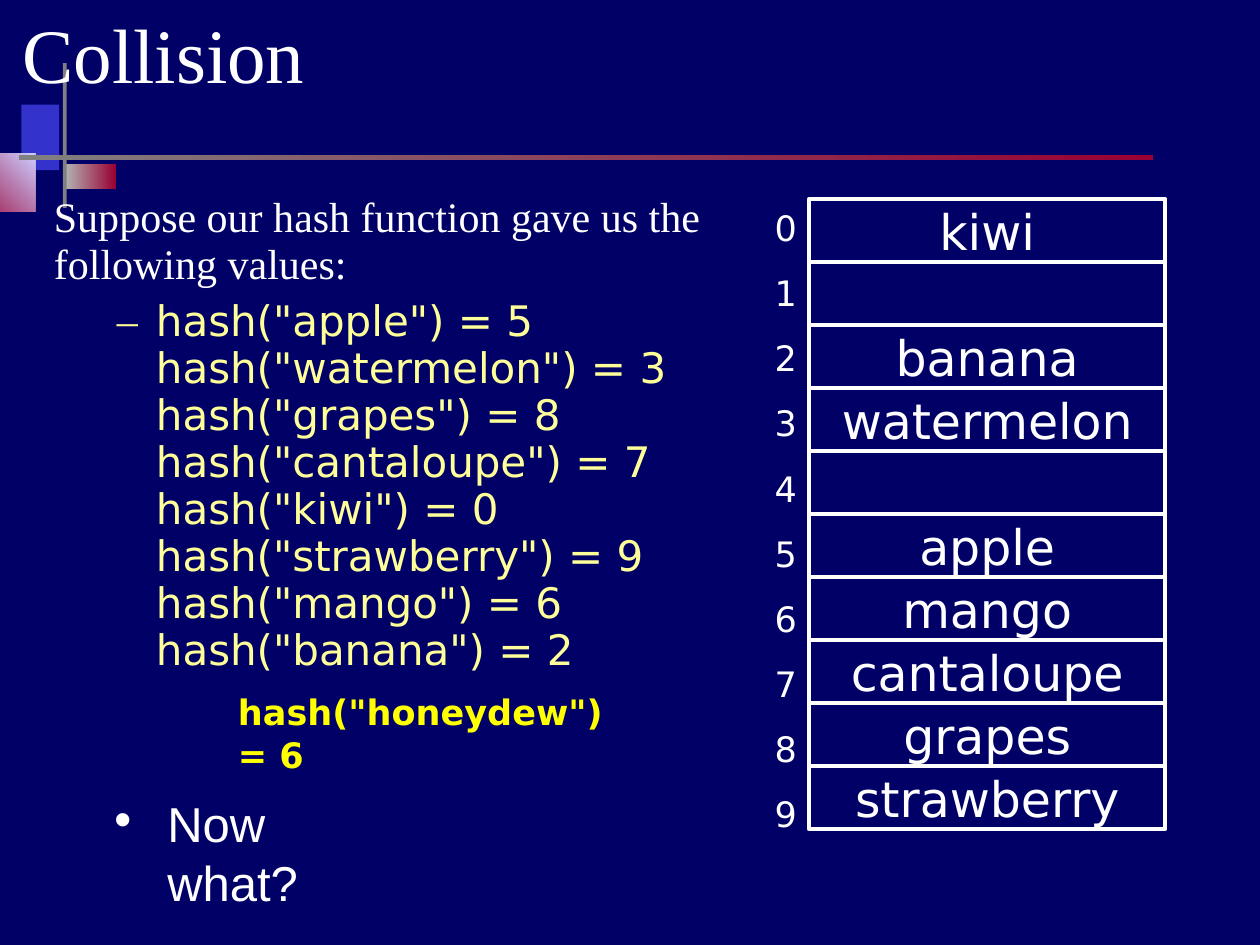
from dataclasses import dataclass

from lxml.etree import SubElement
from pptx import Presentation
from pptx.dml.color import RGBColor
from pptx.enum.shapes import MSO_SHAPE
from pptx.enum.text import MSO_ANCHOR, PP_ALIGN
from pptx.oxml.ns import qn
from pptx.util import Inches, Pt

SERIF = "Times New Roman"
SANS = "DejaVu Sans"
WHITE = "FFFFFF"
PALE_YELLOW = "FFFF99"
GRAY = "808080"
CRIMSON = "990033"


@dataclass(frozen=True)
class Box:
    left: float
    top: float
    width: float
    height: float

    def lengths(self) -> tuple:
        return tuple(Inches(side) for side in (self.left, self.top, self.width, self.height))


@dataclass(frozen=True)
class Style:
    font: str
    size: float
    color: str = WHITE
    bold: bool = False


@dataclass(frozen=True)
class Decoration:
    box: Box
    colors: tuple[str, ...]
    angle: int = 0


DECORATIONS = [
    Decoration(Box(0.17, 0.83, 0.3, 0.52), ("3333CC",)),
    Decoration(Box(0.52, 1.3, 0.4, 0.2), ("B2B2B2", CRIMSON)),
    Decoration(Box(-0.33, 1.22, 0.61, 0.46), (CRIMSON, "CCCCFF"), 45),
    Decoration(Box(0.5, 0.5, 0.03, 1.15), (GRAY,)),
    Decoration(Box(0.15, 1.23, 9, 0.04), (GRAY, CRIMSON)),
]
HASHES = {
    "apple": 5,
    "watermelon": 3,
    "grapes": 8,
    "cantaloupe": 7,
    "kiwi": 0,
    "strawberry": 9,
    "mango": 6,
    "banana": 2,
}
SLOT_COUNT = 10
TABLE = Box(6.42, 1.58, 2.83, 5)
CELL_STYLE = Style(SANS, 28)
INDEX_STYLE = Style(SANS, 20)
HASH_STYLE = Style(SANS, 24, PALE_YELLOW)


def rgb(color: str) -> RGBColor:
    return RGBColor.from_string(color)


def add_run(paragraph, text: str, style: Style) -> None:
    run = paragraph.add_run()
    run.text = text
    run.font.name = style.font
    run.font.size = Pt(style.size)
    run.font.bold = style.bold
    run.font.color.rgb = rgb(style.color)


def add_bullet(paragraph, character: str, style: Style, margin: float, indent: float) -> None:
    properties = paragraph._p.get_or_add_pPr()
    properties.set("marL", str(Inches(margin)))
    properties.set("indent", str(Inches(indent)))
    color = SubElement(properties, qn("a:buClr"))
    SubElement(color, qn("a:srgbClr"), val=style.color)
    SubElement(properties, qn("a:buFont"), typeface=style.font)
    SubElement(properties, qn("a:buChar"), char=character)


def add_text_frame(slide, box: Box, wrap: bool = True):
    frame = slide.shapes.add_textbox(*box.lengths()).text_frame
    frame.word_wrap = wrap
    return frame


def add_rectangle(slide, box: Box, preset=MSO_SHAPE.RECTANGLE):
    shape = slide.shapes.add_shape(preset, *box.lengths())
    shape.shadow.inherit = False
    return shape


def draw_decoration(slide, decoration: Decoration) -> None:
    shape = add_rectangle(slide, decoration.box)
    shape.line.fill.background()
    if len(decoration.colors) == 1:
        shape.fill.solid()
        shape.fill.fore_color.rgb = rgb(decoration.colors[0])
        return
    shape.fill.gradient()
    shape.fill.gradient_angle = decoration.angle
    for stop, color in zip(shape.fill.gradient_stops, decoration.colors):
        stop.color.rgb = rgb(color)


def draw_title(slide) -> None:
    frame = add_text_frame(slide, Box(0.08, 0.08, 9.06, 0.67))
    frame.vertical_anchor = MSO_ANCHOR.MIDDLE
    add_run(frame.paragraphs[0], "Collision", Style(SERIF, 44))


def draw_hash_list(slide) -> None:
    frame = add_text_frame(slide, Box(0.33, 1.5, 5.53, 4.25))
    introduction = frame.paragraphs[0]
    introduction.line_spacing = 0.93
    add_run(
        introduction,
        "Suppose our hash function gave us the following values:",
        Style(SERIF, 24),
    )
    values = frame.add_paragraph()
    values.line_spacing = 0.93
    values.space_before = Pt(6)
    add_bullet(values, "–", Style(SERIF, 24, PALE_YELLOW), 0.81, -0.31)
    for position, (fruit, index) in enumerate(HASHES.items()):
        if position:
            values.add_line_break()
        add_run(values, f'hash("{fruit}") = {index}', HASH_STYLE)


def draw_hash_table(slide) -> None:
    fruits = {index: fruit for fruit, index in HASHES.items()}
    height = TABLE.height / SLOT_COUNT
    for index in range(SLOT_COUNT):
        box = Box(TABLE.left, TABLE.top + index * height, TABLE.width, height)
        cell = add_rectangle(slide, box, MSO_SHAPE.FLOWCHART_PROCESS)
        cell.fill.background()
        cell.line.color.rgb = rgb(WHITE)
        cell.line.width = Pt(2.25)
        if index in fruits:
            frame = cell.text_frame
            frame.word_wrap = False
            frame.vertical_anchor = MSO_ANCHOR.MIDDLE
            paragraph = frame.paragraphs[0]
            paragraph.alignment = PP_ALIGN.CENTER
            add_run(paragraph, fruits[index], CELL_STYLE)


def draw_indexes(slide) -> None:
    frame = add_text_frame(slide, Box(6.05, TABLE.top, 0.36, TABLE.height), wrap=False)
    for index in range(SLOT_COUNT):
        paragraph = frame.add_paragraph() if index else frame.paragraphs[0]
        paragraph.line_spacing = 1.03
        if index:
            paragraph.space_before = Pt(12.5)
        add_run(paragraph, str(index), INDEX_STYLE)


def draw_question(slide) -> None:
    question = add_text_frame(slide, Box(0.76, 6.25, 2.58, 0.57)).paragraphs[0]
    add_bullet(question, "•", Style("Courier New", 28), 0.47, -0.47)
    add_run(question, "Now what?", Style("Arial", 28))

    collision = add_text_frame(slide, Box(1.79, 5.42, 3.22, 0.44)).paragraphs[0]
    collision.line_spacing = 1.03
    add_run(collision, 'hash("honeydew") = 6', Style(SANS, 20, "FFFF00", bold=True))


def main() -> None:
    presentation = Presentation()
    presentation.slide_width = Inches(10)
    presentation.slide_height = Inches(7.5)
    slide = presentation.slides.add_slide(presentation.slide_layouts[6])
    slide.background.fill.solid()
    slide.background.fill.fore_color.rgb = rgb("000066")
    for decoration in DECORATIONS:
        draw_decoration(slide, decoration)
    draw_title(slide)
    draw_hash_list(slide)
    draw_hash_table(slide)
    draw_indexes(slide)
    draw_question(slide)
    presentation.save("out.pptx")


if __name__ == "__main__":
    main()
